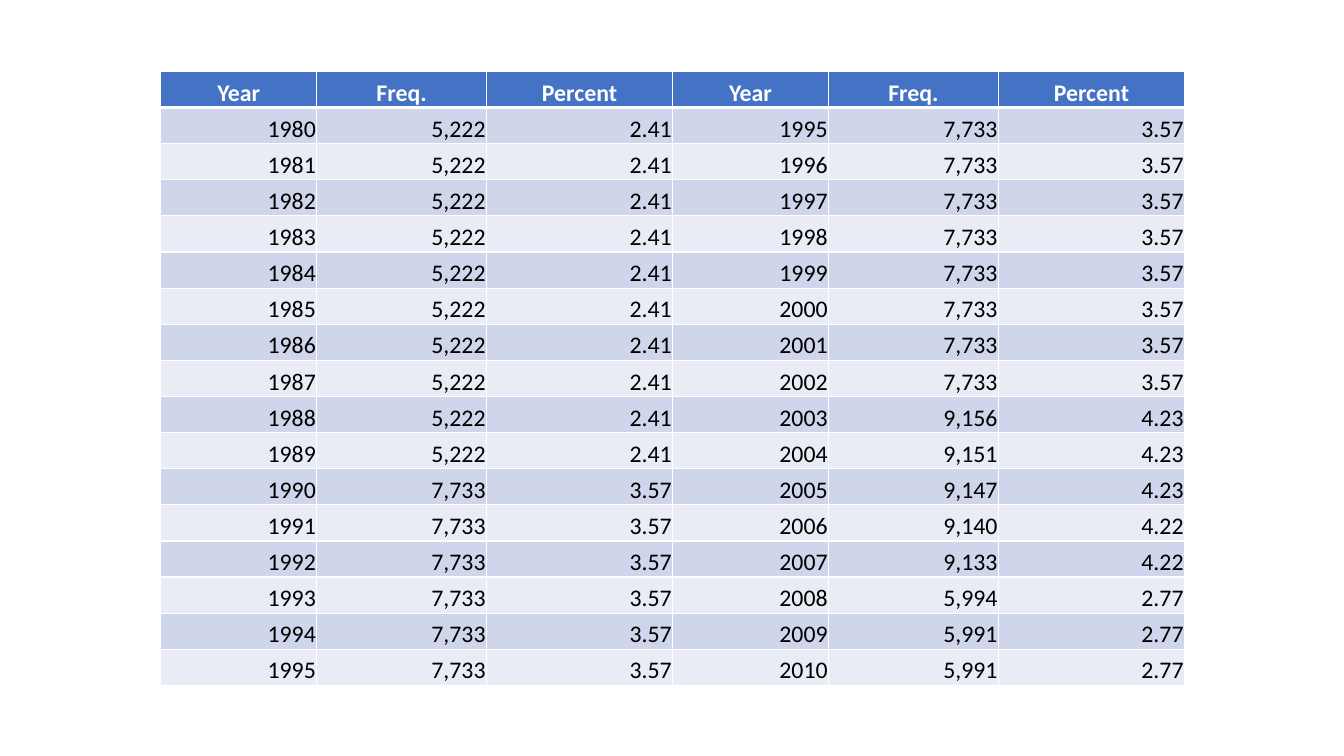
from lxml.etree import SubElement
from pptx import Presentation
from pptx.dml.color import RGBColor
from pptx.enum.text import MSO_ANCHOR, PP_ALIGN
from pptx.oxml.ns import qn
from pptx.util import Cm, Pt

COLORS = {
    "header": "4472C4",
    "odd_band": "CFD5EA",
    "even_band": "E9EBF5",
    "border": "FFFFFF",
    "header_text": "FFFFFF",
    "body_text": "000000",
}
HEADINGS = ["Year", "Freq.", "Percent"]
COLUMN_WIDTHS = [3.93, 4.28, 4.69]
ROW_HEIGHT = 0.91
EARLY_FREQUENCIES = [("5,222", "2.41")] * 10 + [("7,733", "3.57")] * 6
LATE_FREQUENCIES = [("7,733", "3.57")] * 8 + [
    ("9,156", "4.23"),
    ("9,151", "4.23"),
    ("9,147", "4.23"),
    ("9,140", "4.22"),
    ("9,133", "4.22"),
    ("5,994", "2.77"),
    ("5,991", "2.77"),
    ("5,991", "2.77"),
]


def write_text(frame, text, font, size, color, bold=False, align=PP_ALIGN.RIGHT):
    paragraph = frame.paragraphs[0]
    paragraph.alignment = align
    run = paragraph.add_run()
    run.text = text
    run.font.name = font
    run.font.size = Pt(size)
    run.font.bold = bold
    run.font.color.rgb = RGBColor.from_string(COLORS[color])


class SlideBuilder:
    def __init__(self, slide, font, size):
        self.slide = slide
        self.font = font
        self.size = size

    def add_borders(self, cell, top, bottom):
        properties = cell._tc.get_or_add_tcPr()
        for side, width in (("L", 1), ("R", 1), ("T", top), ("B", bottom)):
            line = SubElement(properties, qn(f"a:ln{side}"), w=str(Pt(width)))
            fill = SubElement(line, qn("a:solidFill"))
            SubElement(fill, qn("a:srgbClr"), val=COLORS["border"])

    def fill_cell(self, cell, text, row):
        is_header = row == 0
        self.add_borders(cell, top=3 if row == 1 else 1, bottom=3 if is_header else 1)
        band = "header" if is_header else "odd_band" if row % 2 else "even_band"
        cell.fill.solid()
        cell.fill.fore_color.rgb = RGBColor.from_string(COLORS[band])
        cell.vertical_anchor = MSO_ANCHOR.BOTTOM
        cell.margin_left = cell.margin_right = cell.margin_top = Cm(0.02)
        cell.margin_bottom = 0
        write_text(
            cell.text_frame,
            text,
            font=self.font,
            size=self.size,
            color="header_text" if is_header else "body_text",
            bold=is_header,
            align=PP_ALIGN.CENTER if is_header else PP_ALIGN.RIGHT,
        )

    def add_table(self, rows, left, top, widths, row_height):
        table = self.slide.shapes.add_table(
            len(rows), len(widths), Cm(left), Cm(top),
            Cm(sum(widths)), Cm(row_height * len(rows)),
        ).table
        for column, width in zip(table.columns, widths):
            column.width = Cm(width)
        for row, values in enumerate(rows):
            table.rows[row].height = Cm(row_height)
            for column, text in enumerate(values):
                self.fill_cell(table.cell(row, column), text, row)


def main():
    presentation = Presentation()
    presentation.slide_width = Cm(33.87)
    presentation.slide_height = Cm(19.05)
    slide = presentation.slides.add_slide(presentation.slide_layouts[6])
    rows = [HEADINGS * 2]
    for offset, (early, late) in enumerate(zip(EARLY_FREQUENCIES, LATE_FREQUENCIES)):
        rows.append([str(1980 + offset), *early, str(1995 + offset), *late])
    builder = SlideBuilder(slide, font="Calibri", size=17)
    builder.add_table(rows, 4.05, 1.8, COLUMN_WIDTHS * 2, ROW_HEIGHT)
    presentation.save("out.pptx")


if __name__ == "__main__":
    main()
